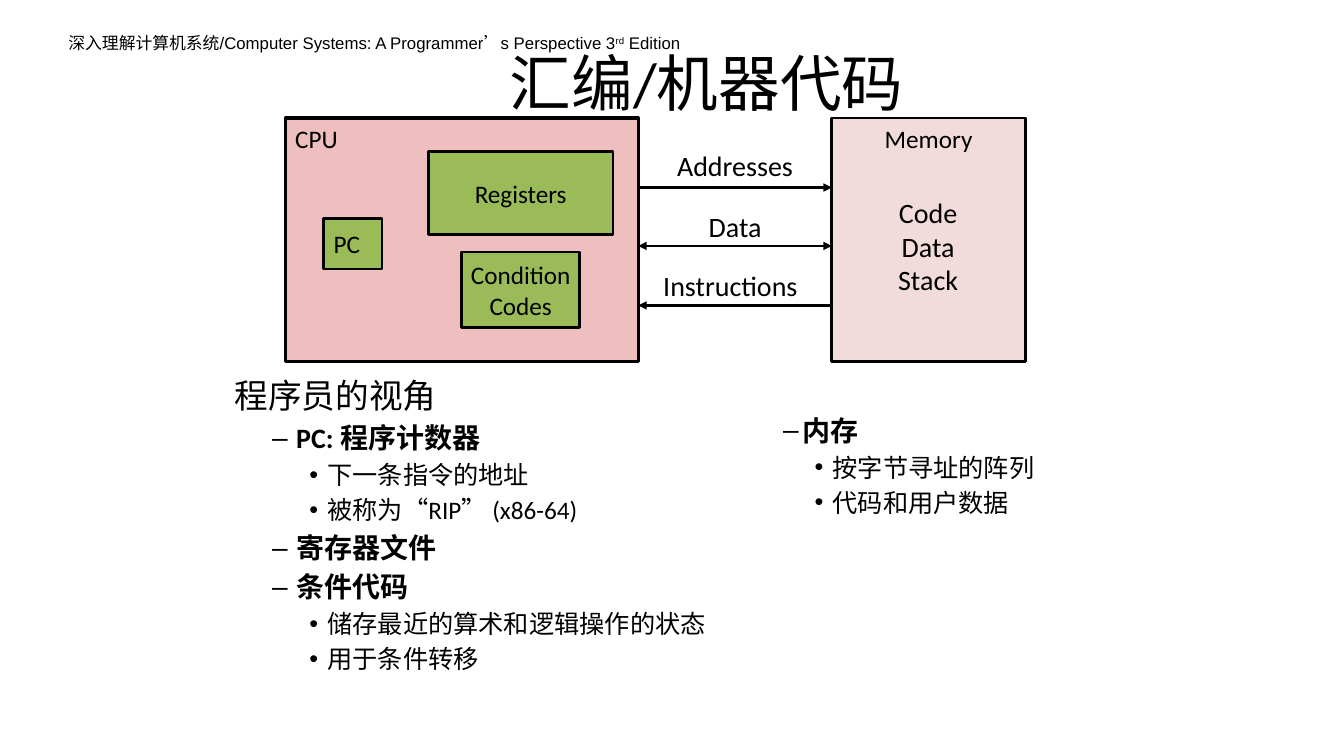
from dataclasses import dataclass

from pptx import Presentation
from pptx import util as u
from pptx.dml.color import RGBColor
from pptx.enum import shapes, text
from pptx.oxml.ns import qn
from lxml import etree

LEFT, CENTER = text.PP_ALIGN.LEFT, text.PP_ALIGN.CENTER
TOP, MIDDLE = text.MSO_ANCHOR.TOP, text.MSO_ANCHOR.MIDDLE


@dataclass(frozen=True)
class Theme:
    ink: str = "000000"
    cpu: str = "EFBFBF"
    memory: str = "F2DCDB"
    unit: str = "9BBB59"
    body_font: str = "Calibri"
    header_font: str = "Arial"
    title: int = 44
    heading: int = 24
    item: int = 20
    label: int = 18
    header: int = 12
    line: float = 2


class Diagram:
    def __init__(self, page, theme):
        self.page, self.theme = page, theme

    def color(self, value):
        return RGBColor.from_string(value)

    def style_font(self, font, **values):
        defaults = {"name": self.theme.body_font, "bold": False}
        for name, value in {**defaults, **values}.items():
            setattr(font, name, value)
        font.color.rgb = self.color(self.theme.ink)

    def set_lines(self, box, lines, size, align=CENTER, anchor=TOP, wrap=True):
        frame = box.text_frame
        settings = {"text": "\n".join(lines), "word_wrap": wrap,
                    "vertical_anchor": anchor, "auto_size": text.MSO_AUTO_SIZE.NONE}
        for name, value in settings.items():
            setattr(frame, name, value)
        for para in frame.paragraphs:
            para.alignment = align
            for span in para.runs:
                self.style_font(span.font, size=u.Pt(size))

    def title(self, place, words):
        box = self.page.shapes.title
        box.left, box.top, box.width, box.height = map(u.Inches, place)
        self.set_lines(box, [words], self.theme.title, anchor=MIDDLE)

    def textbox(self, place):
        box = self.page.shapes.add_textbox(*map(u.Inches, place))
        box.text_frame.word_wrap = True
        return box

    def label(self, place, *lines):
        self.set_lines(self.textbox(place), lines, self.theme.item)

    def header(self, place, pieces):
        """Put (words, baseline) pieces in one paragraph."""
        para = self.textbox(place).text_frame.paragraphs[0]
        for words, baseline in pieces:
            span = para.add_run()
            span.text = words
            self.style_font(span.font, size=u.Pt(self.theme.header),
                            name=self.theme.header_font)
            if baseline:
                span.font._element.set("baseline", str(baseline))

    def block(self, place, fill, *lines, line=None, **layout):
        box = self.page.shapes.add_shape(shapes.MSO_SHAPE.RECTANGLE, *map(u.Inches, place))
        box.shadow.inherit = False
        box.fill.solid()
        box.fill.fore_color.rgb = self.color(fill)
        box.line.color.rgb = self.color(self.theme.ink)
        box.line.width = u.Pt(line or self.theme.line)
        self.set_lines(box, lines, self.theme.label, **layout)

    def arrow(self, left, right, y, ends):
        """Draw a horizontal bus; ends names the arrowed ends, headEnd being the left one."""
        bus = self.page.shapes.add_connector(
            shapes.MSO_CONNECTOR.STRAIGHT, *map(u.Inches, (left, y, right, y)))
        bus.line.color.rgb = self.color(self.theme.ink)
        bus.line.width = u.Pt(self.theme.line)
        outline = bus.line._get_or_add_ln()
        for end in ends:
            etree.SubElement(outline, qn(f"a:{end}"), type="triangle")
        etree.SubElement(bus._element.spPr, qn("a:effectLst"))

    def outline(self, place, entries, indents):
        """Lay out (level, words) entries; indents maps level to (margin, hanging)."""
        sizes = {0: self.theme.heading, 1: self.theme.item, 2: self.theme.label}
        frame = self.textbox(place).text_frame
        frame.text = "\n".join(words for _, words in entries)
        for index, (para, (level, _)) in enumerate(zip(frame.paragraphs, entries)):
            size = sizes[level]
            if index:
                para.space_before = u.Pt(size * 0.2)
            margin, hanging = indents[level]
            props = para._p.get_or_add_pPr()
            props.set("marL", str(u.Inches(margin)))
            props.set("indent", str(-u.Inches(hanging)))
            if level:
                etree.SubElement(props, qn("a:buFont"), typeface=self.theme.header_font)
                etree.SubElement(props, qn("a:buChar"), char="–" if level == 1 else "•")
            for span in para.runs:
                self.style_font(span.font, size=u.Pt(size), bold=level == 1)


def main():
    deck = Presentation()
    deck.slide_width, deck.slide_height = u.Inches(13.33), u.Inches(7.5)
    theme = Theme()
    diagram = Diagram(deck.slides.add_slide(deck.slide_layouts[5]), theme)

    diagram.header((0.58, 0.28, 6.28, 0.3), [
        ("深入理解计算机系统/Computer Systems: A Programmer’s Perspective 3", 0),
        ("rd", 30000), (" Edition", 0)])
    diagram.title((3.06, 0.5, 7.9, 0.63), "汇编/机器代码")

    diagram.block((2.83, 1.17, 3.5, 2.42), theme.cpu, "CPU", line=2.25, align=LEFT)
    diagram.block((8.25, 1.17, 1.92, 2.42), theme.memory, "Memory", wrap=False)
    diagram.label((8.58, 1.89, 1.25, 1.11), "Code", "Data", "Stack")
    units = [((3.21, 2.17, 0.58, 0.5), ["PC"], LEFT),
             ((4.25, 1.5, 1.83, 0.83), ["Registers"], CENTER),
             ((4.58, 2.5, 1.17, 0.75), ["Condition", "Codes"], CENTER)]
    for place, lines, align in units:
        diagram.block(place, theme.unit, *lines, align=align, anchor=MIDDLE, wrap=False)

    buses = [("Addresses", 1.42, 1.92, 1.86, ["tailEnd"]),
             ("Data", 2.03, 1.92, 2.44, ["headEnd", "tailEnd"]),
             ("Instructions", 2.61, 1.83, 3.03, ["headEnd"])]
    for name, top, width, y, ends in buses:
        diagram.arrow(6.33, 8.25, y, ends)
        diagram.label((6.33, top, width, 0.43), name)

    diagram.outline((2.23, 3.67, 9.92, 3.38), [
        (0, "程序员的视角"),
        (1, "PC: 程序计数器"),
        (2, "下一条指令的地址"),
        (2, "被称为“RIP” (x86-64)"),
        (1, "寄存器文件"),
        (1, "条件代码"),
        (2, "储存最近的算术和逻辑操作的状态"),
        (2, "用于条件转移"),
    ], {0: (0.25, 0.25), 1: (0.61, 0.24), 2: (0.92, 0.18)})
    diagram.outline((7.54, 4.05, 3.96, 1.72), [
        (1, "内存"),
        (2, "按字节寻址的阵列"),
        (2, "代码和用户数据"),
    ], {1: (0.32, 0.19), 2: (0.62, 0.18)})

    deck.save("out.pptx")


if __name__ == "__main__":
    main()
